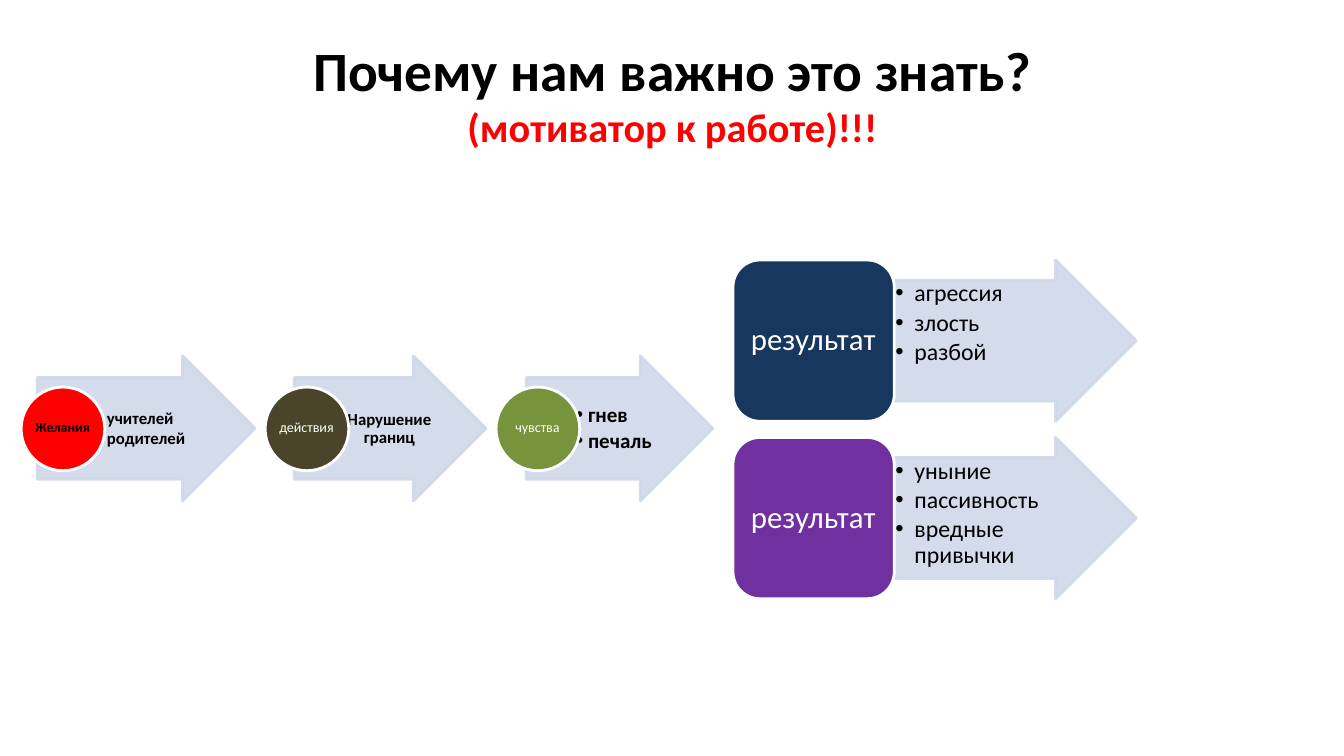
from lxml import etree
from pptx import Presentation
from pptx import util as u
from pptx.dml import color
from pptx.enum import shapes, text
from pptx.oxml import ns

COLORS = {
    "black": "000000", "white": "FFFFFF", "red": "FF0000", "arrow": "D0D8E8",
    "brown": "4A452A", "green": "77933C", "navy": "17375E", "purple": "7030A0",
}


class SlideBuilder:
    """Holds the font and the current slide, and draws each kind of element on it."""

    font_name = "Calibri"

    def __init__(self, slide):
        self.slide = slide

    def rgb(self, name):
        return color.RGBColor.from_string(COLORS[name])

    def shape(self, kind, box, fill, line, adjustments=(), alpha=None):
        shape = self.slide.shapes.add_shape(kind, *map(u.Inches, box))
        shape.shadow.inherit = False
        for index, value in enumerate(adjustments):
            shape.adjustments[index] = value
        shape.fill.solid()
        shape.fill.fore_color.rgb = self.rgb(fill)
        shape.line.color.rgb = self.rgb(line)
        shape.line.width = u.Pt(2)
        if alpha:
            for element in shape._element.spPr.iter(ns.qn("a:srgbClr")):
                etree.SubElement(element, ns.qn("a:alpha"), val=str(alpha * 1000))

    def arrow(self, box, body):
        self.shape(shapes.MSO_SHAPE.RIGHT_ARROW, box, "arrow", "arrow", (body, 0.5), 90)

    def run(self, paragraph, words, size, ink, bold):
        run = paragraph.add_run()
        run.text = words
        formats = {"name": self.font_name, "size": u.Pt(size), "bold": bold}
        for key, value in formats.items():
            setattr(run.font, key, value)
        run.font.color.rgb = self.rgb(ink)

    def frame(self, box, insets, anchor):
        frame = self.slide.shapes.add_textbox(*map(u.Inches, box)).text_frame
        left, top, right, bottom = map(u.Inches, insets)
        formats = {
            "word_wrap": True, "vertical_anchor": anchor, "margin_left": left,
            "margin_top": top, "margin_right": right, "margin_bottom": bottom,
        }
        for key, value in formats.items():
            setattr(frame, key, value)
        return frame

    def text(self, box, lines, size, ink="black", bold=False, indent=0,
             insets=(0.01,) * 4, anchor=text.MSO_ANCHOR.MIDDLE):
        frame = self.frame(box, insets, anchor)
        for index, words in enumerate(lines):
            paragraph = frame.add_paragraph() if index else frame.paragraphs[0]
            formats = {
                "alignment": text.PP_ALIGN.LEFT if indent else text.PP_ALIGN.CENTER,
                "line_spacing": 0.9,
                "space_after": u.Pt(size * (0.15 if indent else 0.35)),
            }
            if indent:
                self.bullet(paragraph, indent)
            for key, value in formats.items():
                setattr(paragraph, key, value)
            self.run(paragraph, words, size, ink, bold)

    def bullet(self, paragraph, indent):
        paragraph.level = 1
        properties = paragraph._p.get_or_add_pPr()
        properties.set("marL", str(u.Inches(indent)))
        properties.set("indent", str(-u.Inches(indent)))
        etree.SubElement(properties, ns.qn("a:buFont"), typeface="Arial")
        etree.SubElement(properties, ns.qn("a:buChar"), char="•")

    def title(self, box, heading, subtitle):
        frame = self.frame(box, (0.1, 0.05, 0.1, 0.05), text.MSO_ANCHOR.MIDDLE)
        paragraph = frame.paragraphs[0]
        paragraph.alignment = text.PP_ALIGN.CENTER
        self.run(paragraph, heading, 39.6, "black", True)
        paragraph.add_line_break()
        self.run(paragraph, subtitle, 28.8, "red", True)

    def stage(self, circle_left, arrow_left, width, label, fill, ink, bold, lines, size, indent):
        self.arrow((arrow_left, 3.53, width, 1.44), 0.7)
        self.text((arrow_left + width / 4, 3.75, width * 0.75 - 0.5, 1.01), lines, size,
                  bold=True, indent=indent, insets=(0.03, 0.01, 0.02, 0.01))
        self.shape(shapes.MSO_SHAPE.OVAL, (circle_left, 3.84, 0.83, 0.83), fill, "white")
        self.text((circle_left + 0.12, 3.96, 0.58, 0.58), [label], 10, ink, bold)

    def result(self, top, fill, lines):
        self.arrow((8.87, top, 2.4, 1.6), 0.75)
        self.text((8.87, top + 0.2, 1.8, 1.2), lines, 17, indent=0.19,
                  anchor=text.MSO_ANCHOR.TOP)
        self.shape(shapes.MSO_SHAPE.ROUNDED_RECTANGLE, (7.27, top, 1.6, 1.6), fill, "white")
        self.text((7.34, top + 0.08, 1.45, 1.44), ["результат"], 22, "white",
                  insets=(0.09, 0.05, 0.09, 0.05))


def main():
    presentation = Presentation()
    presentation.slide_width = u.Inches(13.33)
    presentation.slide_height = u.Inches(7.5)
    builder = SlideBuilder(presentation.slides.add_slide(presentation.slide_layouts[6]))

    builder.title((0.67, 0.3, 12, 1.25), "Почему нам важно это знать?", "(мотиватор к работе)!!!")
    stages = [
        (0.21, 0.37, 2.16, "Желания", "red", "black", True, ["учителей", "родителей"], 12, 0.12),
        (2.63, 2.92, 1.9, "действия", "brown", "white", False, ["Нарушение границ"], 12, 0),
        (4.92, 5.22, 1.85, "чувства", "green", "white", False, ["гнев", "печаль"], 15, 0.12),
    ]
    for stage in stages:
        builder.stage(*stage)
    builder.result(2.58, "navy", ["агрессия", "злость", "разбой"])
    builder.result(4.34, "purple", ["уныние", "пассивность", "вредные привычки"])
    presentation.save("out.pptx")


if __name__ == "__main__":
    main()
